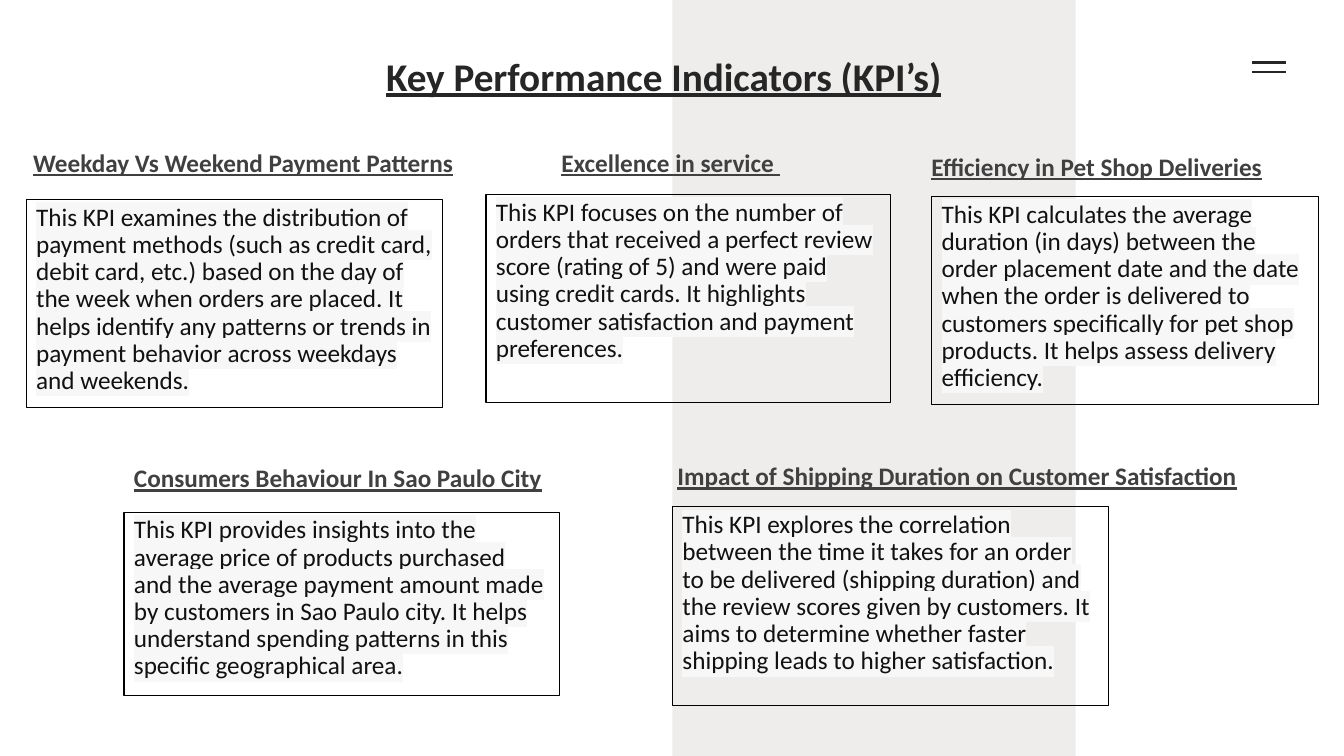
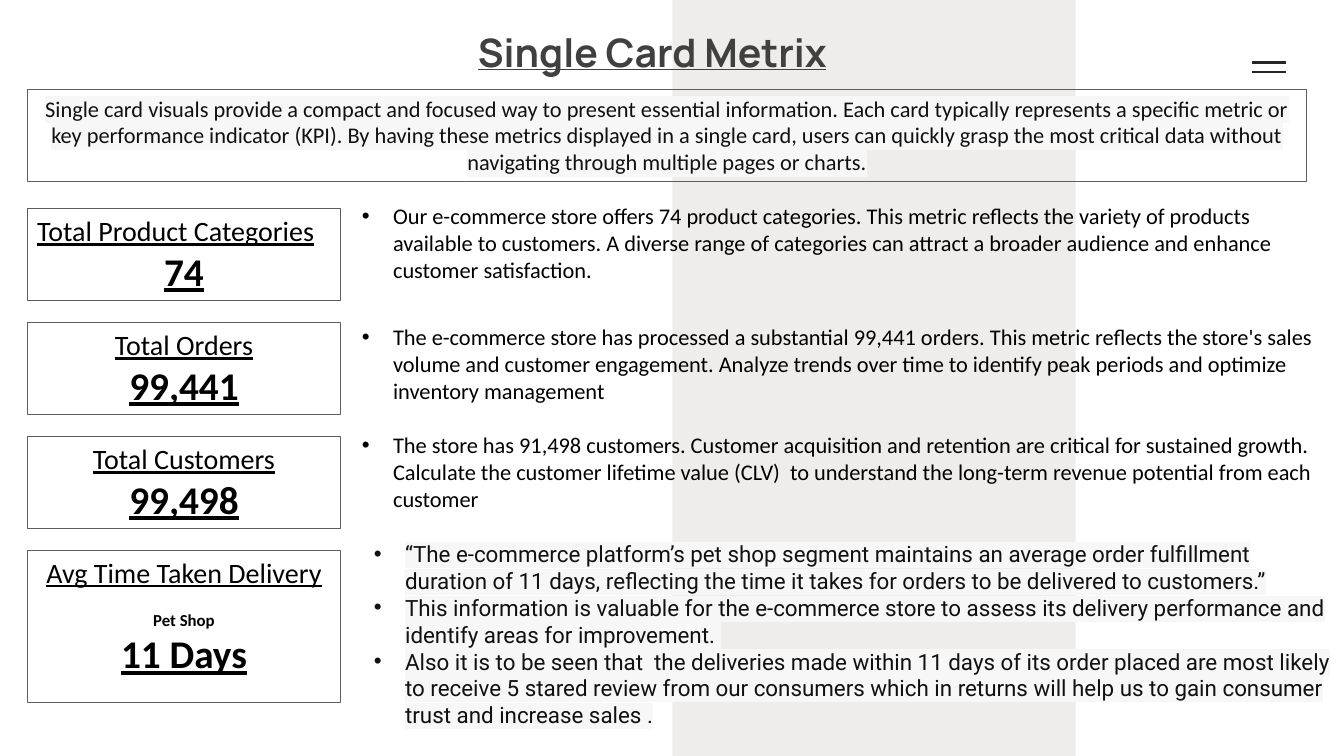
from lxml.etree import SubElement
from pptx import Presentation
from pptx.dml.color import RGBColor
from pptx.enum.shapes import MSO_CONNECTOR, MSO_SHAPE
from pptx.enum.text import MSO_ANCHOR, MSO_AUTO_SIZE, PP_ALIGN
from pptx.oxml.ns import qn
from pptx.util import Inches, Pt

HEX = {"band": "EFEDEC", "dark": "262626", "head": "404040", "body": "111111",
       "mark": "F7F7F7", "black": "000000", "edge": "5E5E5E", "white": "FFFFFF"}
COLOR = {name: RGBColor.from_string(code) for name, code in HEX.items()}


def add_box(slide, at, edge=None, width=0.75):
    shape = slide.shapes.add_textbox(*map(Inches, at))
    shape.text_frame.word_wrap = True
    if edge:
        shape.line.color.rgb = COLOR[edge]
        shape.line.width = Pt(width)
    return shape


def add_run(par, text, size, color, font="Calibri", bold=False, under=False, mark=False):
    run = par.add_run()
    run.text = text
    run.font.size, run.font.name = Pt(size), font
    run.font.bold, run.font.underline = bold, under
    run.font.color.rgb = COLOR[color]
    if mark:
        props = run.font._element
        light = SubElement(props, qn("a:highlight"))
        SubElement(light, qn("a:srgbClr")).set("val", HEX["mark"])
        props.find(qn("a:solidFill")).addnext(light)


deck = Presentation()
deck.slide_width, deck.slide_height = Inches(13.33), Inches(7.5)
layout = deck.slide_layouts[5]

# Slides and titles
titles = [
    ("Key Performance Indicators (KPI’s)", (3.73, 0.5, 5.87, 0.56), "Calibri", "dark"),
    ("Single Card Metrix", (4.64, 0.27, 3.93, 0.54), "Manrope", "head"),
]
slides = []
for text, at, font, color in titles:
    slide = deck.slides.add_slide(layout)
    title = slide.shapes.title
    title.left, title.top, title.width, title.height = map(Inches, at)
    frame = title.text_frame
    frame.word_wrap, frame.auto_size = True, MSO_AUTO_SIZE.NONE
    frame.vertical_anchor = MSO_ANCHOR.MIDDLE
    par = frame.paragraphs[0]
    par.alignment, par.line_spacing = PP_ALIGN.LEFT, 0.9
    add_run(par, text, 28, color, font, bold=True, under=True)
    slides.append(slide)
kpi, cards = slides

# Band and menu lines, moved to the shared layout
band = kpi.shapes.add_shape(MSO_SHAPE.RECTANGLE, Inches(6.67), 0, Inches(4), Inches(7.5))
band.shadow.inherit = False
band.fill.solid()
band.fill.fore_color.rgb = COLOR["band"]
band.line.fill.background()
decor = [band]
for y in (0.62, 0.71):
    bar = kpi.shapes.add_connector(MSO_CONNECTOR.STRAIGHT, Inches(12.42), Inches(y),
                                   Inches(12.75), Inches(y))
    bar.line.color.rgb = COLOR["dark"]
    bar.line.width = Pt(1.5)
    SubElement(bar.element.spPr, qn("a:effectLst"))
    decor.append(bar)
for i, shape in enumerate(decor):
    shape.element.xpath(".//p:cNvPr")[0].set("id", str(20 + i))
    layout.shapes.element.insert(2 + i, shape.element)

# Slide 1: headings and their boxes
topics = [
    ("Weekday Vs Weekend Payment Patterns", (0.23, 1.41, 4.57, 0.4),
     "This KPI examines the distribution of payment methods (such as credit card, "
     "debit card, etc.) based on the day of the week when orders are placed. It helps "
     "identify any patterns or trends in payment behavior across weekdays and weekends.",
     (0.26, 1.98, 4.13, 2.06)),
    ("Excellence in service ", (5.47, 1.41, 2.4, 0.4),
     "This KPI focuses on the number of orders that received a perfect review score "
     "(rating of 5) and were paid using credit cards. It highlights customer "
     "satisfaction and payment preferences.",
     (4.82, 1.93, 4.01, 2.06)),
    ("Efficiency in Pet Shop Deliveries", (9.14, 1.45, 3.68, 0.4),
     "This KPI calculates the average duration (in days) between the order placement "
     "date and the date when the order is delivered to customers specifically for pet "
     "shop products. It helps assess delivery efficiency.",
     (9.24, 1.95, 3.84, 2.06)),
    ("Consumers Behaviour In Sao Paulo City", (1.23, 4.54, 4.32, 0.4),
     "This KPI provides insights into the average price of products purchased and the "
     "average payment amount made by customers in Sao Paulo city. It helps understand "
     "spending patterns in this specific geographical area.",
     (1.23, 5.08, 4.32, 1.82)),
    ("Impact of Shipping Duration on Customer Satisfaction", (6.62, 4.52, 5.98, 0.4),
     "This KPI explores the correlation between the time it takes for an order to be "
     "delivered (shipping duration) and the review scores given by customers. It aims "
     "to determine whether faster shipping leads to higher satisfaction.",
     (6.67, 5.03, 4.32, 1.97)),
]
for head, spot, text, at in topics:
    par = add_box(kpi, spot).text_frame.paragraphs[0]
    add_run(par, head, 18, "head", bold=True, under=True)
    par = add_box(kpi, at, "black").text_frame.paragraphs[0]
    par.line_spacing = 0.9
    add_run(par, text, 18, "body", mark=True)

# Slide 2: introduction
par = add_box(cards, (0.27, 0.89, 12.69, 0.91), "edge").text_frame.paragraphs[0]
par.alignment = PP_ALIGN.CENTER
add_run(par, "Single card visuals provide a compact and focused way to present essential "
        "information. Each card typically represents a specific metric or key performance "
        "indicator (KPI). By having these metrics displayed in a single card, users can "
        "quickly grasp the most critical data without navigating through multiple pages "
        "or charts.", 16, "body", mark=True)

# Slide 2: metric cards
metrics = [("Total Product Categories", "", "74"), ("Total Orders", "", "99,441"),
           ("Total Customers", "", "99,498"), ("Avg Time Taken Delivery", "Pet Shop", "11 Days")]
for i, (name, note, value) in enumerate(metrics):
    at = (0.27, 2.07 + 1.13 * i, 3.11, 1.51 if note else 0.91)
    card = add_box(cards, at, "edge", 1 if note else 0.75)
    frame = card.text_frame
    par = frame.paragraphs[0]
    par.alignment = PP_ALIGN.CENTER if i else PP_ALIGN.LEFT
    add_run(par, name, 20, "black", under=True)
    if note:
        card.fill.solid()
        card.fill.fore_color.rgb = COLOR["white"]
        par = frame.add_paragraph()
        par.alignment, par.space_before = PP_ALIGN.CENTER, Pt(14.6)
        add_run(par, note, 12, "black", bold=True)
    par = frame.add_paragraph()
    par.alignment = PP_ALIGN.CENTER
    add_run(par, value, 28, "black", bold=True, under=True)

# Slide 2: bulleted remarks
plain = {"color": "black"}
quote = {"color": "body", "font": "Roboto", "mark": True}
remarks = [
    ((3.49, 1.96, 9.72, 1.21), plain, [
        "Our e-commerce store offers 74 product categories. This metric reflects the "
        "variety of products available to customers. A diverse range of categories can "
        "attract a broader audience and enhance customer satisfaction."]),
    ((3.49, 3.16, 9.72, 0.91), plain, [
        "The e-commerce store has processed a substantial 99,441 orders. This metric "
        "reflects the store's sales volume and customer engagement. Analyze trends over "
        "time to identify peak periods and optimize inventory management"]),
    ((3.49, 4.23, 9.72, 0.91), plain, [
        "The store has 91,498 customers. Customer acquisition and retention are critical "
        "for sustained growth. Calculate the customer lifetime value (CLV)  to understand "
        "the long-term revenue potential from each customer"]),
    ((3.61, 5.31, 9.72, 1.99), quote, [
        "“The e-commerce platform’s pet shop segment maintains an average order "
        "fulfillment duration of 11 days, reflecting the time it takes for orders to be "
        "delivered to customers.”",
        "This information is valuable for the e-commerce store to assess its delivery "
        "performance and identify areas for improvement. ",
        "Also it is to be seen that  the deliveries made within 11 days of its order "
        "placed are most likely to receive 5 stared review from our consumers which in "
        "returns will help us to gain consumer trust and increase sales ."]),
]
for at, style, lines in remarks:
    frame = add_box(cards, at).text_frame
    for i, line in enumerate(lines):
        par = frame.add_paragraph() if i else frame.paragraphs[0]
        props = par._p.get_or_add_pPr()
        props.set("marL", str(Inches(0.31)))
        props.set("indent", str(-Inches(0.31)))
        SubElement(props, qn("a:buFont")).set("typeface", "Arial")
        SubElement(props, qn("a:buChar")).set("char", "•")
        add_run(par, line, 16, **style)

deck.save("out.pptx")
